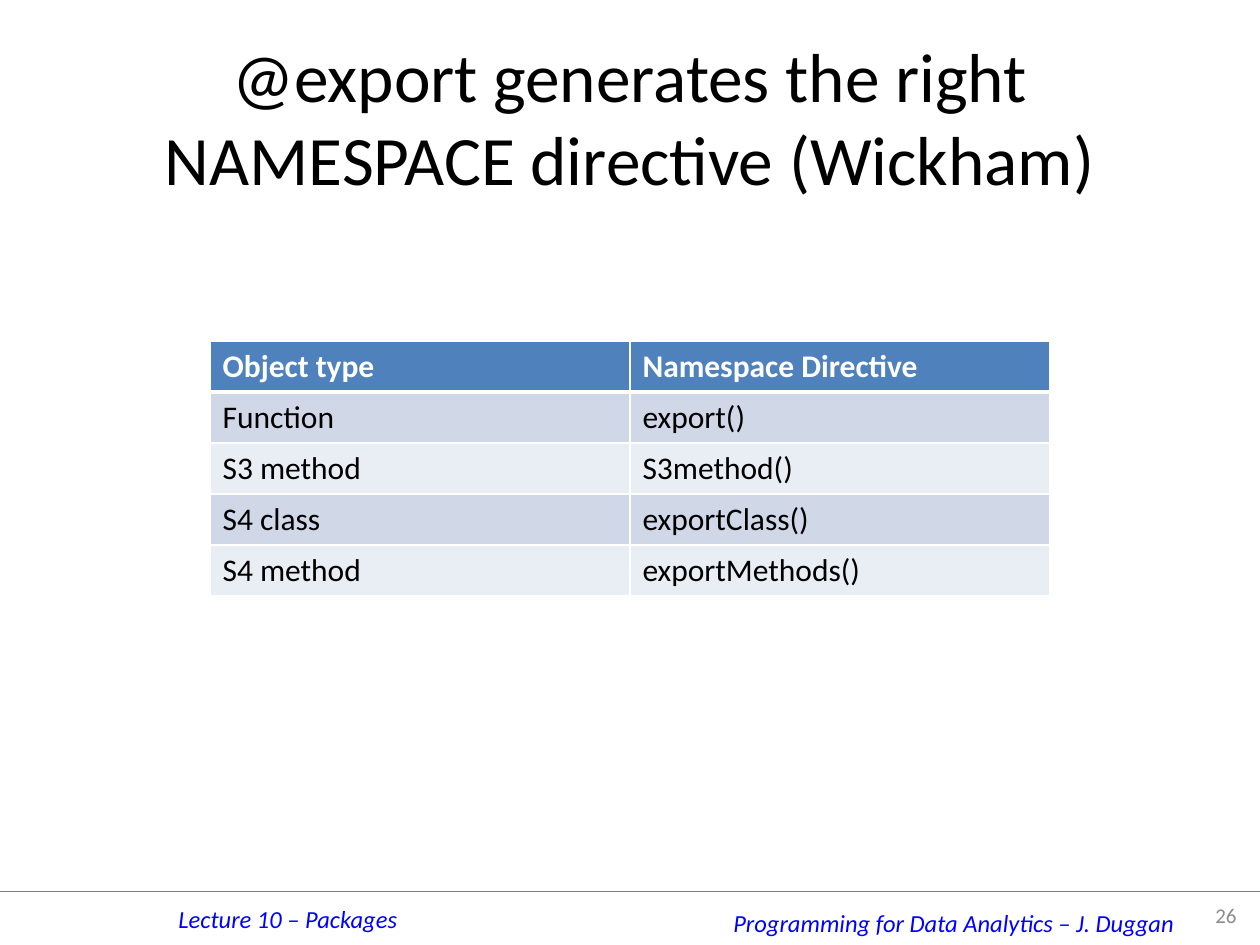
from lxml.etree import SubElement
from pptx import Presentation
from pptx.dml.color import RGBColor
from pptx.enum.shapes import MSO_CONNECTOR as Connector
from pptx.enum.text import MSO_ANCHOR as Anchor, PP_ALIGN as Align
from pptx.oxml.ns import qn
from pptx.util import Pt

TITLE = "@export generates the right NAMESPACE directive (Wickham)"
LECTURE = "Lecture 10 – Packages"
COURSE = "Programming for Data Analytics – J. Duggan"
PAGE_NUMBER = "26"
DIRECTIVES = [
    ("Object type", "Namespace Directive"),
    ("Function", "export()"),
    ("S3 method", "S3method()"),
    ("S4 class", "exportClass()"),
    ("S4 method", "exportMethods()"),
]

THEME = {
    "font": "Calibri",
    "ink": "000000",
    "paper": "FFFFFF",
    "footer": "0000FF",
    "number": "8C8C8C",
    "rule": "808080",
    "header": "4F81BD",
    "bands": ("D0D8E8", "E9EDF4"),
    "title_size": 39.6,
    "table_size": 18,
    "footer_size": 14,
    "number_size": 12,
}
WIDTH, HEIGHT = 1260, 945
RULE_TOP = 891
TABLE_LEFT, TABLE_TOP, COLUMN_WIDTH, ROW_HEIGHT = 210, 341, 420, 51


def px(length):
    return round(length * 914400 / 126)


def write(frame, text, size, color, bold=False, italic=False, align=Align.LEFT):
    para = frame.paragraphs[0]
    para.alignment = align
    span = para.add_run()
    span.text = text
    span.font.name = THEME["font"]
    span.font.size = Pt(size)
    span.font.bold = bold
    span.font.italic = italic
    span.font.color.rgb = RGBColor.from_string(color)


def add_text(page, place, text, anchor=Anchor.TOP, wrap=True, **style):
    box = page.shapes.add_textbox(*map(px, place))
    box.text_frame.word_wrap = wrap
    box.text_frame.vertical_anchor = anchor
    write(box.text_frame, text, **style)


def add_rule(page):
    rule = page.shapes.add_connector(
        Connector.STRAIGHT, 0, px(RULE_TOP), px(WIDTH), px(RULE_TOP))
    rule.line.color.rgb = RGBColor.from_string(THEME["rule"])
    rule.line.width = Pt(0.25)
    SubElement(rule.element.spPr, qn("a:effectLst"))


def add_borders(cell, **widths):
    properties = cell._tc.get_or_add_tcPr()
    for side in "LRTB":
        width = Pt(widths.get(side, 1))
        line = SubElement(properties, qn(f"a:ln{side}"), w=str(width))
        fill = SubElement(line, qn("a:solidFill"))
        SubElement(fill, qn("a:srgbClr"), val=THEME["paper"])


def add_directives(page):
    rows, columns = len(DIRECTIVES), len(DIRECTIVES[0])
    place = (TABLE_LEFT, TABLE_TOP, columns * COLUMN_WIDTH, rows * ROW_HEIGHT)
    table = page.shapes.add_table(rows, columns, *map(px, place)).table
    for row, texts in enumerate(DIRECTIVES):
        header = row == 0
        fill = THEME["header"] if header else THEME["bands"][(row - 1) % 2]
        for column, text in enumerate(texts):
            cell = table.cell(row, column)
            add_borders(cell, B=3 if header else 1, T=3 if row == 1 else 1)
            cell.fill.solid()
            cell.fill.fore_color.rgb = RGBColor.from_string(fill)
            write(cell.text_frame, text, size=THEME["table_size"], bold=header,
                  color=THEME["paper"] if header else THEME["ink"])


def main():
    deck = Presentation()
    deck.slide_width, deck.slide_height = px(WIDTH), px(HEIGHT)
    page = deck.slides.add_slide(deck.slide_layouts[6])
    add_rule(page)
    for text, place in ((LECTURE, (166, 898, 253, 43)),
                        (COURSE, (721, 902, 476, 43))):
        add_text(page, place, text, wrap=False, size=THEME["footer_size"],
                 color=THEME["footer"], italic=True)
    add_text(page, (63, 38, 1134, 157), TITLE, anchor=Anchor.MIDDLE,
             size=THEME["title_size"], color=THEME["ink"], align=Align.CENTER)
    add_text(page, (1197, RULE_TOP, 52, 49), PAGE_NUMBER, anchor=Anchor.MIDDLE,
             size=THEME["number_size"], color=THEME["number"], align=Align.RIGHT)
    add_directives(page)
    deck.save("out.pptx")


if __name__ == "__main__":
    main()
